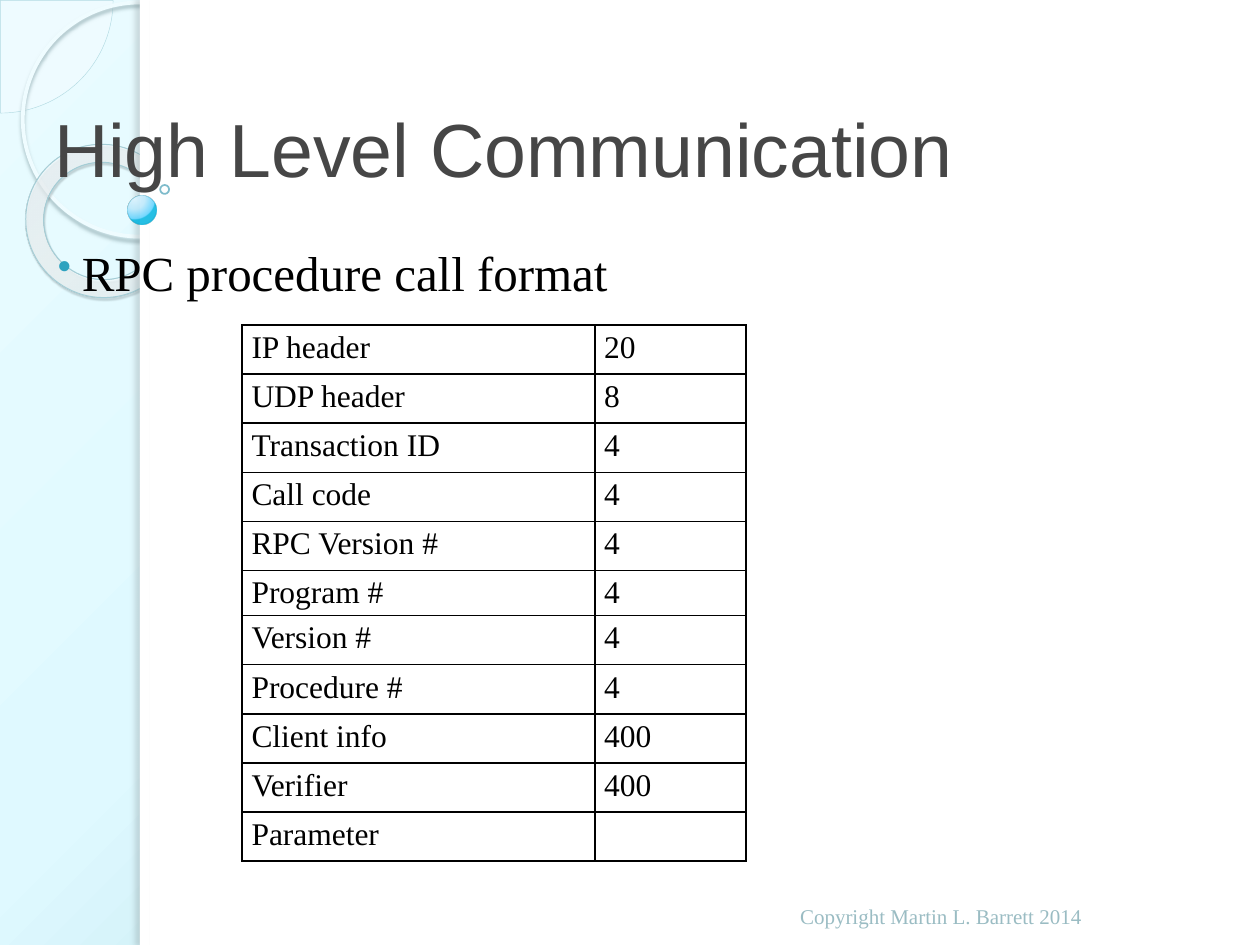
"""Build the High Level Communication slide with the RPC call format table."""
from pptx import Presentation, util as u
from pptx.dml.color import RGBColor
from pptx.enum import shapes, text
from pptx.oxml import parse_xml
from pptx.oxml.ns import nsdecls, qn

THEME = {
    "heading_font": "Arial", "body_font": "Times New Roman",
    "title_size": 43, "body_size": 28, "table_size": 18, "footer_size": 12,
    "title": "464646", "ink": "000000", "footer": "9ABCC3",
    "bullet": "2DA2BF", "paper": "FFFFFF", "frost": "F9FEFF",
    "backdrop": [(0, "E9FBFF", 100), (40, "DFF9FF", 100), (100, "96CBD6", 100)],
    "ring": [(0, "F9FEFF", 70), (70, "FDFFFF", 55), (100, "A3EEFE", 60)],
    "bead": [(0, "DDF4FF", 95), (50, "BDE9FC", 90), (95, "61D3FF", 88), (100, "00B5E1", 85)],
}


def color_xml(color, alpha):
    return f'<a:srgbClr {nsdecls("a")} val="{color}"><a:alpha val="{alpha * 1000}"/></a:srgbClr>'


def radial(owner, fill, stops, focus):
    fill.gradient()
    gradient = owner.element.find(".//" + qn("a:gradFill"))
    marks = "".join(f'<a:gs pos="{pos * 1000}">{color_xml(color, alpha)}</a:gs>'
                    for pos, color, alpha in stops)
    sides = " ".join(f'{side}="{value * 1000}"' for side, value in zip("ltrb", focus))
    gradient.getparent().replace(gradient, parse_xml(
        f'<a:gradFill {nsdecls("a")} rotWithShape="1"><a:gsLst>{marks}</a:gsLst>'
        f'<a:path path="circle"><a:fillToRect {sides}/></a:path></a:gradFill>'))


deck = Presentation()
deck.slide_width, deck.slide_height = u.Cm(25.4), u.Cm(19.05)
slide = deck.slides.add_slide(deck.slide_layouts[6])
radial(slide, slide.background.fill, THEME["backdrop"], (-24, -20, 124, 120))

kind = shapes.MSO_SHAPE
decorations = [
    dict(kind=kind.PIE, box=(-2.26, -2.26, 4.54, 4.54), adjust=(0, 54.021),
         fill=(THEME["frost"], 33), line=("B2DAE2", 0.25, 100)),
    dict(kind=kind.OVAL, box=(0.46, 0.05, 4.72, 4.72), line=("EFFCFF", 2.15, 100),
         shadow=("9FB9BE", 85, 2, 2, 90)),
    dict(kind=kind.DONUT, box=(0.51, 2.92, 3.12, 3.07), adjust=(0.118,), turn=38.6,
         radial=(THEME["ring"], (-408, -50, 508, 150)), line=("A4CDD6", 0.58, 100),
         shadow=("4C5D61", 35, 1, 1.2, 75)),
    dict(kind=kind.RECTANGLE, box=(2.82, 0, 22.58, 19.05), fill=(THEME["paper"], 100)),
    dict(kind=kind.RECTANGLE, box=(2.82, 0, 0.2, 19.05), fill=(THEME["paper"], 100),
         shadow=("6E7A7D", 25, 3, 3, 180)),
    dict(kind=kind.OVAL, box=(2.57, 3.94, 0.58, 0.58),
         radial=(THEME["bead"], (25, 12, 75, 88)), line=("249FBD", 0.16, 60)),
    dict(kind=kind.OVAL, box=(3.23, 3.73, 0.18, 0.18), line=("288FA9", 1, 60)),
]
for part in decorations:
    ornament = slide.shapes.add_shape(part["kind"], *map(u.Cm, part["box"]))
    ornament.rotation = part.get("turn", 0)
    for index, value in enumerate(part.get("adjust", ())):
        ornament.adjustments[index] = value
    if "radial" in part:
        radial(ornament, ornament.fill, *part["radial"])
    else:
        ornament.fill.background()
    ornament.line.fill.background()
    if "line" in part:
        ornament.line.width = u.Pt(part["line"][1])
    for paint, tone in ((ornament.fill, part.get("fill")), (ornament.line.fill, part.get("line"))):
        if tone:
            paint.solid()
            paint.fore_color.rgb = RGBColor.from_string(tone[0])
            solid = ornament.element.spPr.findall(".//" + qn("a:solidFill"))[-1]
            solid.replace(solid[0], parse_xml(color_xml(tone[0], tone[-1])))
    ornament.shadow.inherit = False
    if "shadow" in part:
        color, alpha, blur, distance, angle = part["shadow"]
        ornament.element.spPr.find(qn("a:effectLst")).append(parse_xml(
            f'<a:outerShdw {nsdecls("a")} blurRad="{u.Pt(blur)}" dist="{u.Pt(distance)}" '
            f'dir="{angle * 60000}" algn="ctr" rotWithShape="0">{color_xml(color, alpha)}</a:outerShdw>'))

anchor = text.MSO_ANCHOR
captions = [
    ("High Level Communication", (0.84, 1.27, 22.86, 2.74), anchor.BOTTOM,
     "heading_font", "title_size", "title"),
    ("RPC procedure call format", (0.84, 4.88, 22.86, 13.13), anchor.TOP,
     "body_font", "body_size", "ink"),
    ("Copyright Martin L. Barrett 2014", (15.88, 17.53, 8.05, 1.32), anchor.BOTTOM,
     "body_font", "footer_size", "footer"),
]
for words, box, position, font, size, color in captions:
    frame = slide.shapes.add_textbox(*map(u.Cm, box)).text_frame
    frame.word_wrap = True
    frame.vertical_anchor = position
    line = frame.paragraphs[0]
    line.text = words
    line.font.name, line.font.size = THEME[font], u.Pt(THEME[size])
    line.font.color.rgb = RGBColor.from_string(THEME[color])
    if size == "body_size":
        frame.margin_top = 0
        line.space_before = u.Pt(6)
        bullet = line._p.get_or_add_pPr()
        bullet.set("marL", str(u.Cm(0.56)))
        bullet.set("indent", str(u.Cm(-0.48)))
        for mark in (f'<a:buClr {nsdecls("a")}><a:srgbClr val="{THEME["bullet"]}"/></a:buClr>',
                     f'<a:buSzPct {nsdecls("a")} val="80000"/>',
                     f'<a:buChar {nsdecls("a")} char="•"/>'):
            bullet.insert_element_before(parse_xml(mark), "a:tabLst", "a:defRPr", "a:extLst")

fields = [
    ("IP header", "20"), ("UDP header", "8"), ("Transaction ID", "4"), ("Call code", "4"),
    ("RPC Version #", "4"), ("Program #", "4"), ("Version #", "4"), ("Procedure #", "4"),
    ("Client info", "400"), ("Verifier", "400"), ("Parameter", ""),
]
call_format = slide.shapes.add_table(
    len(fields), 2, u.Cm(4.88), u.Cm(6.55), u.Cm(10.16), u.Cm(10.81)).table
call_format.first_row = call_format.horz_banding = False
for column, width in zip(call_format.columns, (7.11, 3.05)):
    column.width = u.Cm(width)
for row, field in zip(call_format.rows, fields):
    row.height = u.Cm(0.91 if field[0] == "Program #" else 0.99)
    for cell, words in zip(row.cells, field):
        cell.text = words
        cell.margin_left = cell.margin_right = u.Cm(0.19)
        cell.margin_top = cell.margin_bottom = 0
        cell.fill.background()
        entry = cell.text_frame.paragraphs[0]
        entry.line_spacing = 1.15
        entry.font.name, entry.font.size = THEME["body_font"], u.Pt(THEME["table_size"])
        entry.font.color.rgb = RGBColor.from_string(THEME["ink"])
        for index, side in enumerate("LRTB"):
            cell._tc.tcPr.insert(index, parse_xml(
                f'<a:ln{side} {nsdecls("a")} w="{u.Pt(1)}"><a:solidFill>'
                f'{color_xml(THEME["ink"], 100)}</a:solidFill></a:ln{side}>'))

deck.save("out.pptx")
